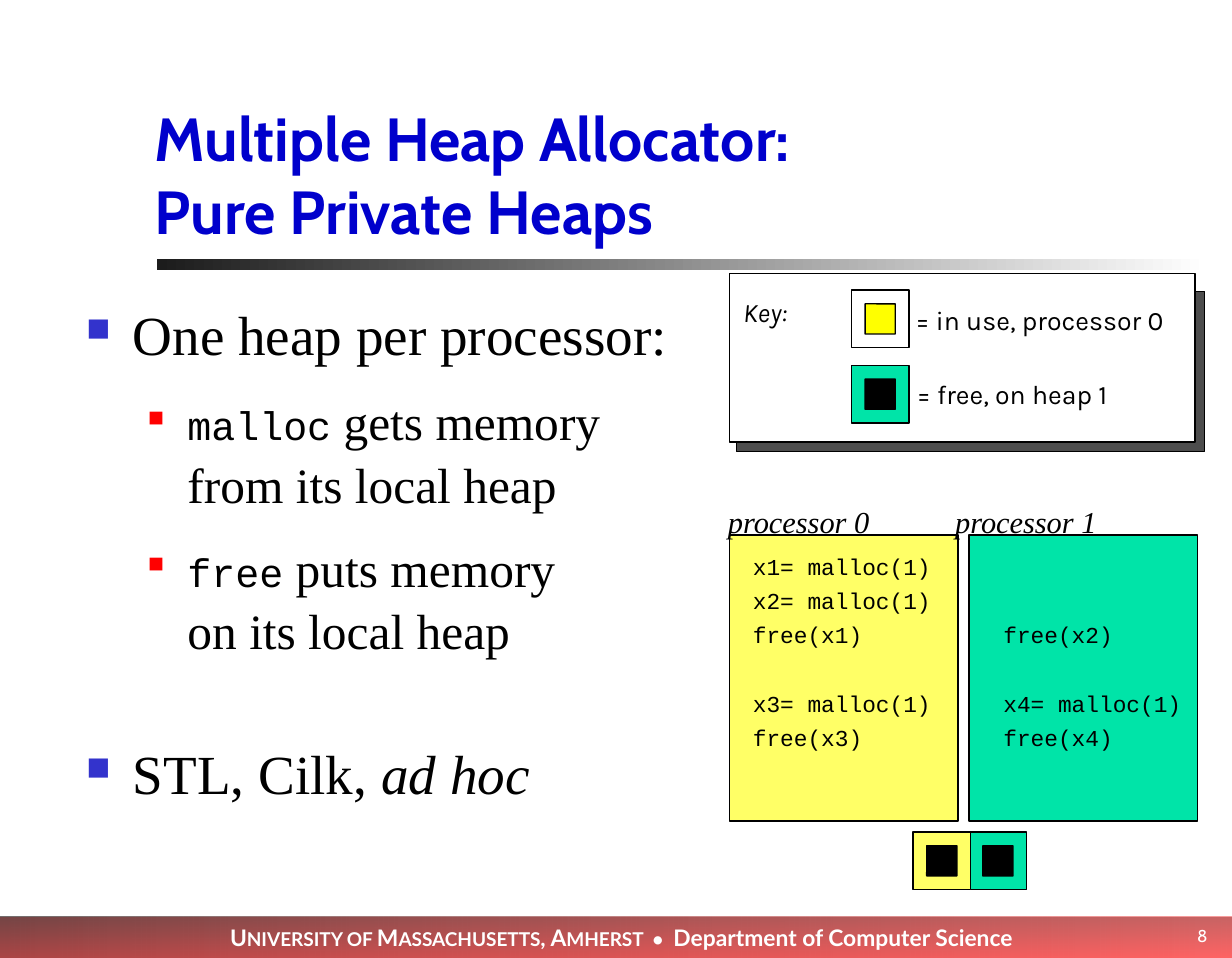
from lxml.etree import SubElement
from pptx import Presentation
from pptx.dml.color import RGBColor
from pptx.enum.shapes import MSO_SHAPE
from pptx.enum.text import MSO_ANCHOR, PP_ALIGN
from pptx.oxml.ns import qn
from pptx.util import Inches, Pt

COLORS = {
    "black": "000000", "white": "FFFFFF", "title": "0000CC", "shadow": "4D4D4D",
    "green": "00E4A8", "pale": "FFFF66", "yellow": "FFFF00", "charcoal": "1C1C1C",
    "blue": "3333CC", "red": "FF0000", "maroon": "760000",
}
SERIF, MONO = "Times New Roman", "Courier New"
TITLE = "Multiple Heap Allocator:\vPure Private Heaps"
LEVELS = [
    {"size": 29, "left": 0.34, "hang": 0.34, "color": "blue", "percent": 60},
    {"size": 26, "left": 0.74, "hang": 0.29, "color": "red", "percent": 55},
]
MONO_RUN = {"name": MONO, "size": Pt(21)}
BULLETS = [
    (0, 11.6, [("One heap per processor:", {})]),
    (1, 11.6, [("malloc", MONO_RUN), (" gets memory\nfrom its local heap", {})]),
    (1, 40.5, [("free", MONO_RUN), (" puts memory\non its local heap", {})]),
    (0, 0, [("STL, Cilk, ", {}), ("ad hoc", {"italic": True})]),
]
FOOTER = [
    ("U", 12), ("NIVERSITY OF ", 10), ("M", 12), ("ASSACHUSETTS", 10),
    (", A", 12), ("MHERST  • ", 10), (" Department of Computer Science", 12),
]
PAGE_NUMBER = "8"
GRADIENTS = [
    ((0, 6.7, 9, 0.33), 180, [("red", 35), ("black", 55)]),
    ((1.15, 1.89, 7.68, 0.08), 180, [("white", 100), ("charcoal", 100)]),
    ((0, 6.7, 9.08, 0.3), 90, [("maroon", 40), ("red", 40)]),
]
PANELS = [
    ((5.38, 2.13, 3.42, 1.17), "shadow"), ((5.33, 2, 3.4, 1.23), "white"),
    ((7.08, 3.91, 1.67, 2.09), "green"), ((5.33, 3.91, 1.67, 2.09), "pale"),
]
PROCESSORS = [
    ("processor 0", 5.22, 5.5, {0: "x1= malloc(1)", 1: "x2= malloc(1)", 2: "free(x1)",
                                4: "x3= malloc(1)", 5: "free(x3)"}),
    ("processor 1", 6.88, 7.33, {2: "free(x2)", 4: "x4= malloc(1)", 5: "free(x4)"}),
]
CODE_TOP, CODE_STEP = 4.07, 0.25
CELLS = [
    (6.22, 2.12, "white", "yellow"), (6.22, 2.67, "green", "black"),
    (7.08, 6.08, "green", "black"), (6.67, 6.08, "pale", "black"),
]
CELL_SIZE, BLOCK_SIZE = 0.42, 0.22
KEY_LABELS = [
    ("= in use, processor 0", (6.59, 2.17, 2.08, 0.33)),
    ("= free, on heap 1", (6.6, 2.71, 1.74, 0.33)),
]


def rgb(color):
    return RGBColor.from_string(COLORS[color])


def add_box(slide, bounds, fill=None, kind=MSO_SHAPE.RECTANGLE):
    shape = slide.shapes.add_shape(kind, *map(Inches, bounds))
    shape.shadow.inherit = False
    if fill:
        shape.fill.solid()
        shape.fill.fore_color.rgb = rgb(fill)
        shape.line.color.rgb = rgb("black")
        shape.line.width = Pt(0.75)
    else:
        shape.line.fill.background()
    return shape


def add_gradient(slide, bounds, angle, stops):
    shape = add_box(slide, bounds)
    shape.fill.background()
    properties = shape._element.spPr
    empty_fill = properties.find(qn("a:noFill"))
    gradient = SubElement(properties, qn("a:gradFill"), rotWithShape="1")
    properties.replace(empty_fill, gradient)
    stop_list = SubElement(gradient, qn("a:gsLst"))
    for position, (color, opacity) in zip((0, 100000), stops):
        stop = SubElement(stop_list, qn("a:gs"), pos=str(position))
        value = SubElement(stop, qn("a:srgbClr"), val=COLORS[color])
        SubElement(value, qn("a:alpha"), val=str(opacity * 1000))
    SubElement(gradient, qn("a:lin"), ang=str(angle * 60000), scaled="0")
    return shape


def set_font(font, name, size, color="black", bold=False, italic=False):
    font.name, font.size = name, Pt(size)
    font.bold, font.italic = bold, italic
    font.color.rgb = rgb(color)


def add_frame(slide, bounds, inset=True, wrap=True):
    frame = slide.shapes.add_textbox(*map(Inches, bounds)).text_frame
    frame.word_wrap = wrap
    if not inset:
        frame.margin_left = frame.margin_right = 0
        frame.margin_top = frame.margin_bottom = 0
    return frame


def add_label(slide, text, bounds, name, size, spacing=None, inset=True, wrap=True, **style):
    frame = add_frame(slide, bounds, inset, wrap)
    paragraph = frame.paragraphs[0]
    paragraph.text = text
    paragraph.line_spacing = spacing
    set_font(paragraph.font, name, size, **style)
    return frame


def add_bullet(paragraph, level, gap, runs):
    look = LEVELS[level]
    paragraph.level = level
    properties = paragraph._p.get_or_add_pPr()
    properties.set("marL", str(Inches(look["left"])))
    properties.set("indent", str(-Inches(look["hang"])))
    color = SubElement(properties, qn("a:buClr"))
    SubElement(color, qn("a:srgbClr"), val=COLORS[look["color"]])
    SubElement(properties, qn("a:buSzPct"), val=str(look["percent"] * 1000))
    SubElement(properties, qn("a:buChar"), char="■")
    paragraph.line_spacing = 1.05
    paragraph.space_after = Pt(gap)
    set_font(paragraph.font, SERIF, look["size"])
    for text, changes in runs:
        for index, line in enumerate(text.split("\n")):
            if index:
                paragraph.add_line_break()
            run = paragraph.add_run()
            run.text = line
            for attribute, value in changes.items():
                setattr(run.font, attribute, value)


def add_footer_text(frame):
    paragraph = frame.paragraphs[0]
    frame.vertical_anchor = MSO_ANCHOR.TOP
    paragraph.alignment = PP_ALIGN.CENTER
    for text, size in FOOTER:
        run = paragraph.add_run()
        run.text = text
        set_font(run.font, "Lato", size, "white", bold=True)


def add_cell(slide, left, top, fill, block):
    add_box(slide, (left, top, CELL_SIZE, CELL_SIZE), fill)
    margin = (CELL_SIZE - BLOCK_SIZE) / 2
    bounds = (left + margin, top + margin, BLOCK_SIZE, BLOCK_SIZE)
    add_box(slide, bounds, block, MSO_SHAPE.ROUNDED_RECTANGLE).adjustments[0] = 0.01


def main():
    """Build the private heaps slide."""
    presentation = Presentation()
    presentation.slide_width, presentation.slide_height = Inches(9), Inches(7)
    slide = presentation.slides.add_slide(presentation.slide_layouts[6])
    bars = [add_gradient(slide, *bar) for bar in GRADIENTS]
    add_footer_text(bars[-1].text_frame)
    for bounds, fill in PANELS:
        add_box(slide, bounds, fill)
    title = add_label(slide, TITLE, (1.13, 0.63, 7.68, 1.17), "Cabin", 32,
                      inset=False, color="title", bold=True)
    title.vertical_anchor = MSO_ANCHOR.BOTTOM
    body = add_frame(slide, (0.63, 2.17, 4.46, 4.41), inset=False)
    for index, bullet in enumerate(BULLETS):
        add_bullet(body.add_paragraph() if index else body.paragraphs[0], *bullet)
    for name, label_left, code_left, code in PROCESSORS:
        add_label(slide, name, (label_left, 3.67, 1.4, 0.33), SERIF, 16, 0.85,
                  wrap=False, italic=True)
        for row, line in code.items():
            add_label(slide, line, (code_left, CODE_TOP + row * CODE_STEP, 1.47, 0.17),
                      MONO, 12, 0.85, inset=False)
    for cell in CELLS:
        add_cell(slide, *cell)
    for text, bounds in KEY_LABELS:
        add_label(slide, text, bounds, "Karla", 14, wrap=False)
    add_label(slide, "Key:", (5.33, 2.11, 0.83, 0.34), "Karla", 14, italic=True)
    number = add_label(slide, PAGE_NUMBER, (8.25, 6.67, 0.67, 0.33), "Cabin", 9, color="white")
    number.vertical_anchor = MSO_ANCHOR.MIDDLE
    number.paragraphs[0].alignment = PP_ALIGN.RIGHT
    presentation.save("out.pptx")


if __name__ == "__main__":
    main()
